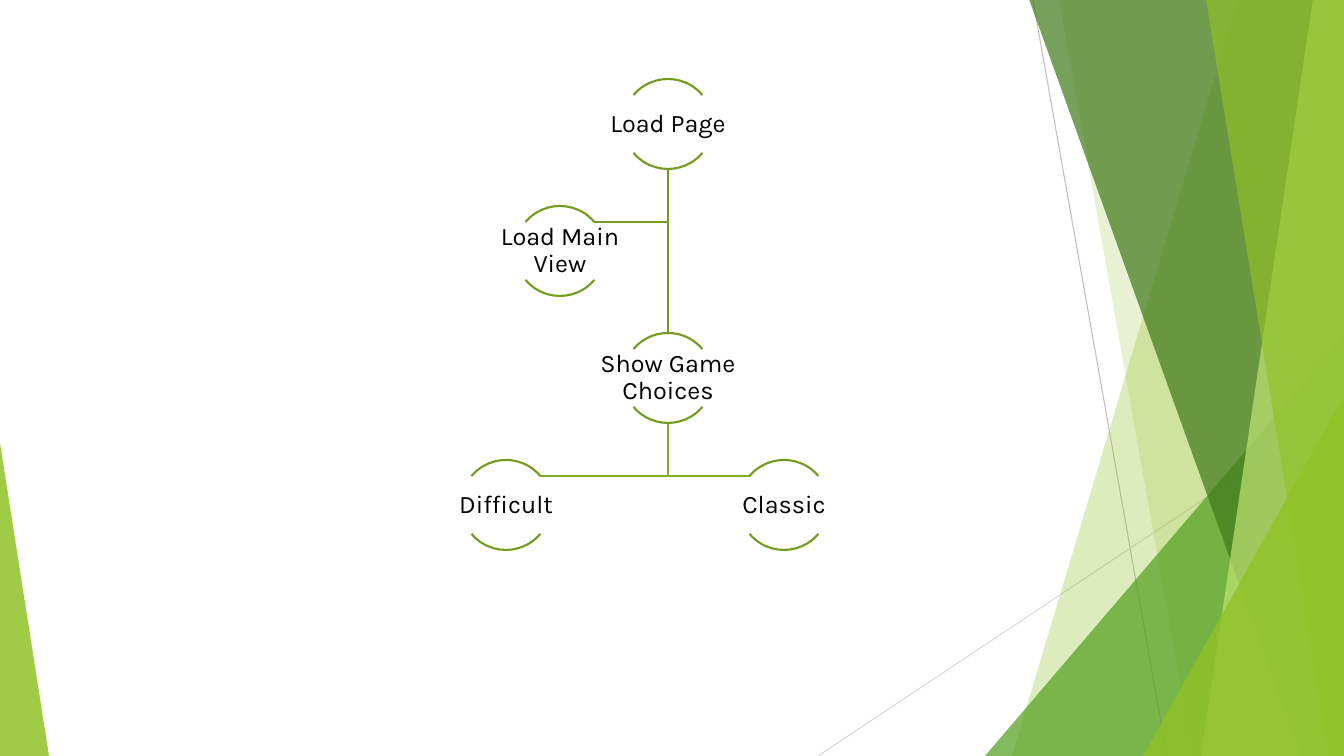
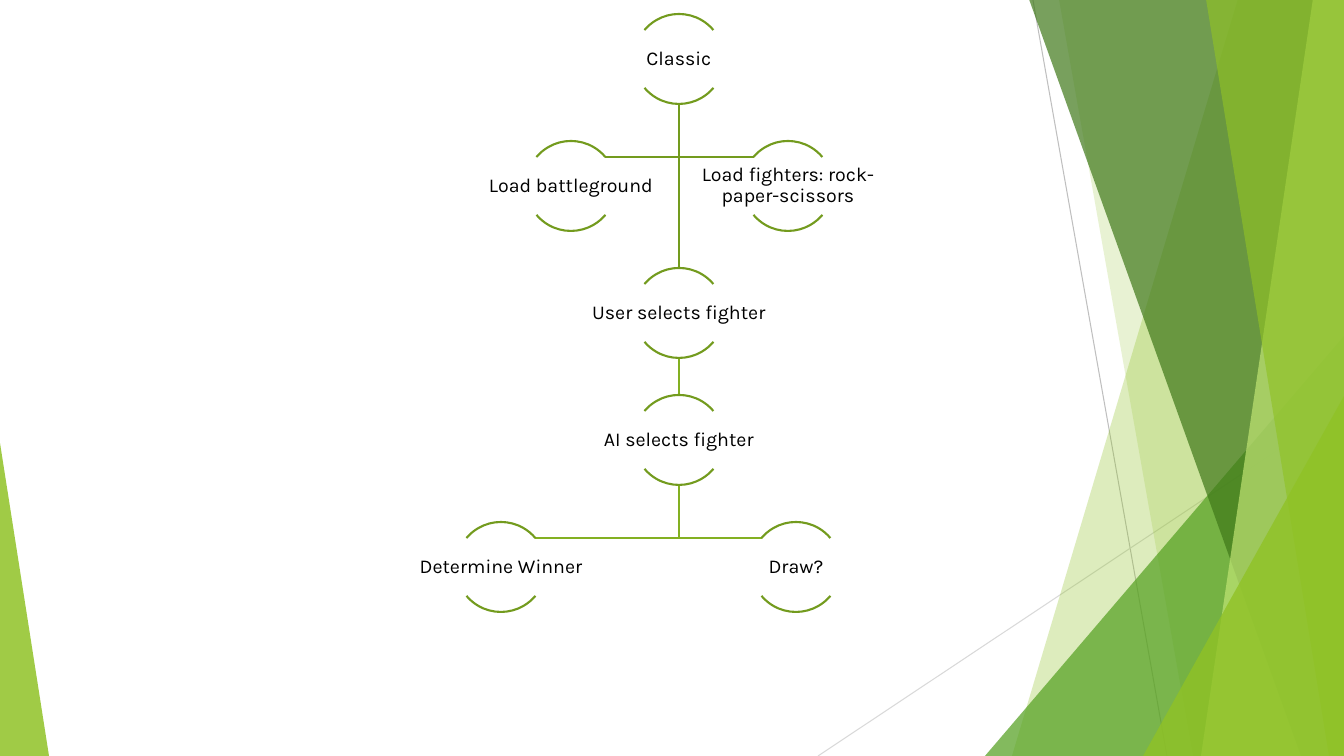
"""Build two green flowchart slides over a shared faceted layout."""
from lxml.etree import SubElement
from pptx import Presentation
from pptx.dml.color import RGBColor
from pptx.enum.shapes import MSO_CONNECTOR as Connector, MSO_SHAPE as Shape
from pptx.enum.text import MSO_ANCHOR as Anchor, PP_ALIGN as Align
from pptx.oxml.ns import qn
from pptx.util import Pt

PIXEL = 914400 / 100.8
WIDTH, HEIGHT = 1344, 756
FONT = "Karla"
BLACK = RGBColor(0x00, 0x00, 0x00)
GREY = RGBColor(0xBF, 0xBF, 0xBF)
PALE_GREY = RGBColor(0xD9, 0xD9, 0xD9)
LIME = RGBColor(0x90, 0xC2, 0x26)
PALE_LIME = RGBColor(0xC0, 0xE4, 0x74)
GREEN = RGBColor(0x54, 0xA0, 0x21)
DARK_GREEN = RGBColor(0x3F, 0x78, 0x19)
OLIVE = RGBColor(0x73, 0x9B, 0x1E)
LIGHT_OLIVE = RGBColor(0x83, 0xB0, 0x22)

NODE = 90
ROW_STEP = 127
ARC_DROP = 16
ARC_REACH = 34
LABEL_WIDTH, LABEL_HEIGHT = 178, 58
ARC_ANGLES = ((132, 192), (24, 84))

GAME_START = {
    "Load Page": (668, 0),
    "Show Game Choices": (668, 2),
    "Classic": (784, 3),
    "Difficult": (506, 3),
    "Load Main View": (560, 1),
}
GAME_START_LINKS = (
    ("Load Page", "Load Main View", OLIVE),
    ("Show Game Choices", "Difficult", LIGHT_OLIVE),
    ("Show Game Choices", "Classic", LIGHT_OLIVE),
    ("Load Page", "Show Game Choices", OLIVE),
)
CLASSIC_GAME = {
    "Classic": (679, 0),
    "User selects fighter": (679, 2),
    "AI selects fighter": (679, 3),
    "Draw?": (796, 4),
    "Determine Winner": (501, 4),
    "Load battleground": (571, 1),
    "Load fighters: rock-paper-scissors": (788, 1),
}
CLASSIC_GAME_LINKS = (
    ("Classic", "Load fighters: rock-paper-scissors", OLIVE),
    ("Classic", "Load battleground", OLIVE),
    ("AI selects fighter", "Determine Winner", LIGHT_OLIVE),
    ("AI selects fighter", "Draw?", LIGHT_OLIVE),
    ("User selects fighter", "AI selects fighter", LIGHT_OLIVE),
    ("Classic", "User selects fighter", OLIVE),
)


def emu(*pixels):
    """Turn pixel lengths into a list of EMU lengths."""
    return [round(length * PIXEL) for length in pixels]


def paint(shape, color, opacity):
    """Give a shape a translucent fill without outline or shadow."""
    shape.shadow.inherit = False
    shape.line.fill.background()
    shape.fill.solid()
    shape.fill.fore_color.rgb = color
    tint = shape.element.spPr.find(qn("a:solidFill"))[0]
    SubElement(tint, qn("a:alpha"), val=str(opacity * 1000))


def outline(shape, color):
    """Leave a shape unfilled and give it the flowchart stroke."""
    shape.shadow.inherit = False
    shape.fill.background()
    shape.line.color.rgb = color
    shape.line.width = Pt(1.5)


def add_path(page, points, close):
    """Draw straight segments through the given points."""
    builder = page.shapes.build_freeform(*points[0], scale=PIXEL)
    builder.add_line_segments(points[1:], close=close)
    return builder.convert_to_shape()


def add_line(page, start, end, color, width):
    """Draw a straight line without shadow."""
    line = page.shapes.add_connector(Connector.STRAIGHT, *emu(*start, *end))
    line.line.color.rgb = color
    line.line.width = Pt(width)
    SubElement(line.element.spPr, qn("a:effectLst"))


def add_band(page, top, bottom, color, opacity):
    """Fill from a slanted left edge to the right side of the slide."""
    points = [(top, -1), (WIDTH, -1), (WIDTH, HEIGHT), (bottom, HEIGHT)]
    paint(add_path(page, points, True), color, opacity)


def add_corner(page, left, top, width, apex, color, opacity):
    """Draw a triangle standing on the bottom edge of the slide."""
    corner = page.shapes.add_shape(
        Shape.ISOSCELES_TRIANGLE, *emu(left, top, width, HEIGHT - top))
    corner.adjustments[0] = apex
    paint(corner, color, opacity)


def add_facets(page):
    """Draw the lines and green facets that all slides share."""
    add_line(page, (1033, 0), (1167, HEIGHT), GREY, 0.75)
    add_line(page, (WIDTH, 406), (818, HEIGHT), PALE_GREY, 0.75)
    add_band(page, 1238, 1012, LIME, 30)
    add_band(page, 1059, 1193, LIME, 20)
    add_corner(page, 985, 336, 359, 1, GREEN, 72)
    add_band(page, 1029, 1301, DARK_GREEN, 70)
    add_band(page, 1313, 1201, PALE_LIME, 70)
    add_band(page, 1206, 1329, LIME, 65)
    add_corner(page, 1143, 396, 201, 1, LIME, 80)
    add_corner(page, 0, 443, 49, 0, LIME, 85)


def move_to_layout(page, layout):
    """Replace the placeholders of the layout with the shapes of a page."""
    tree = layout.shapes.element
    for holder in list(layout.placeholders):
        tree.remove(holder.element)
    for shape in list(page.shapes):
        tree.append(shape.element)


def add_label(page, text, left, top, width, height, *, size, color=BLACK):
    """Write centred text that wraps inside a box."""
    box = page.shapes.add_textbox(*emu(left, top, width, height))
    frame = box.text_frame
    frame.word_wrap = True
    frame.vertical_anchor = Anchor.MIDDLE
    inset = emu(1)[0]
    frame.margin_left = frame.margin_right = inset
    frame.margin_top = frame.margin_bottom = inset
    para = frame.paragraphs[0]
    para.alignment = Align.CENTER
    para.line_spacing = 0.9
    span = para.add_run()
    span.text = text
    span.font.name = FONT
    span.font.size = Pt(size)
    span.font.color.rgb = color


def add_node(page, text, center, top, size):
    """Draw a label between an upper and a lower arc."""
    for angles in ARC_ANGLES:
        arc = page.shapes.add_shape(
            Shape.ARC, *emu(center - NODE / 2, top, NODE, NODE))
        arc.adjustments[0], arc.adjustments[1] = angles
        outline(arc, OLIVE)
    add_label(page, text, center - LABEL_WIDTH / 2,
              top + (NODE - LABEL_HEIGHT) / 2,
              LABEL_WIDTH, LABEL_HEIGHT, size=size)


def add_link(page, parent, child, color):
    """Join a parent to a child straight below it or beside its stem."""
    (stem, parent_top), (center, child_top) = parent, child
    start = (stem, parent_top + NODE)
    if stem == center:
        add_line(page, start, child, color, 1.5)
        return
    bend = child_top + ARC_DROP
    end = center + (ARC_REACH if center < stem else -ARC_REACH)
    outline(add_path(page, [start, (stem, bend), (end, bend)], False), color)


def add_flowchart(page, nodes, links, top, size):
    """Place nodes on evenly spaced rows above their links."""
    places = {text: (center, top + row * ROW_STEP)
              for text, (center, row) in nodes.items()}
    for parent, child, color in links:
        add_link(page, places[parent], places[child], color)
    for text, place in places.items():
        add_node(page, text, *place, size)


def main():
    """Build and save the deck."""
    deck = Presentation()
    deck.slide_width, deck.slide_height = emu(WIDTH, HEIGHT)
    blank = deck.slide_layouts[6]
    start_page, classic_page = [deck.slides.add_slide(blank) for _ in range(2)]
    add_facets(start_page)
    move_to_layout(start_page, blank)
    add_flowchart(start_page, GAME_START, GAME_START_LINKS, 79, 18)
    add_flowchart(classic_page, CLASSIC_GAME, CLASSIC_GAME_LINKS, 14, 14)
    deck.save("out.pptx")


main()
